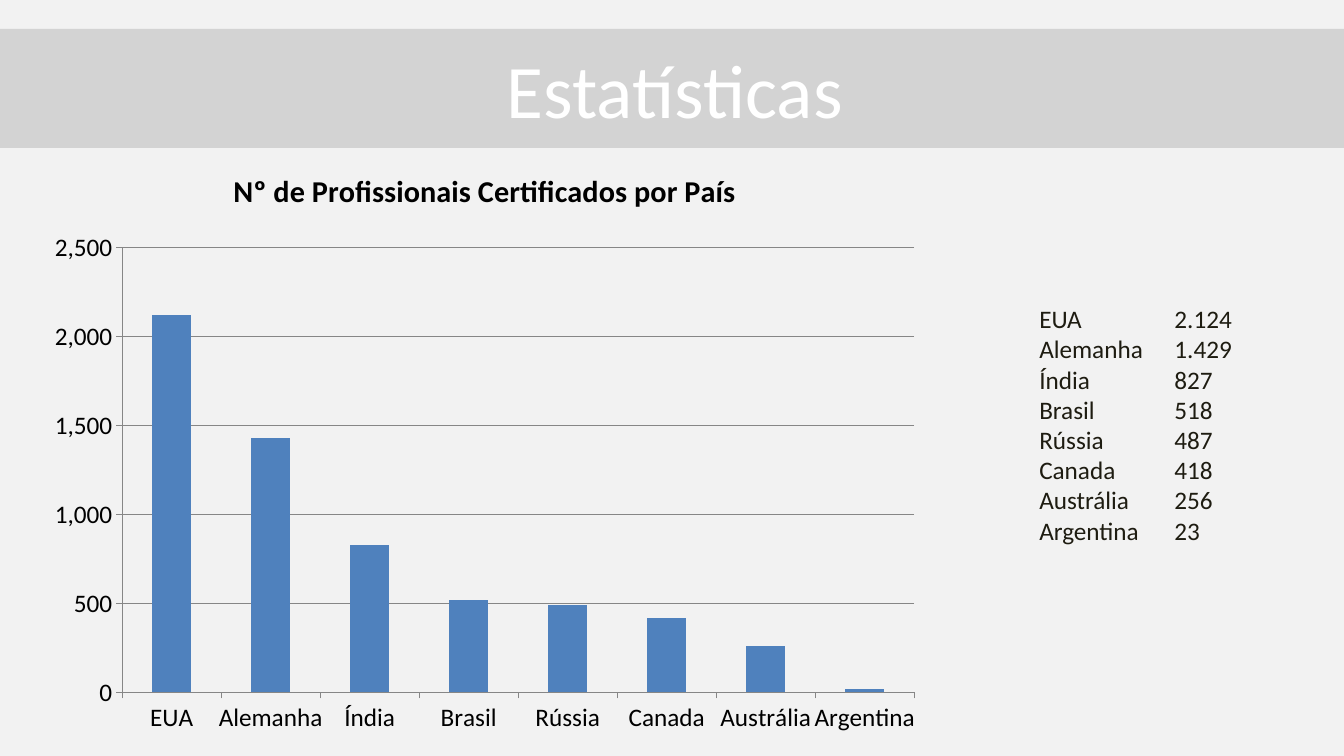
from dataclasses import dataclass

from lxml.etree import SubElement
from pptx import Presentation
from pptx.chart.data import CategoryChartData
from pptx.dml.color import RGBColor
from pptx.enum.chart import XL_CHART_TYPE, XL_TICK_MARK
from pptx.enum.shapes import MSO_SHAPE
from pptx.enum.text import MSO_ANCHOR, MSO_AUTO_SIZE, PP_ALIGN
from pptx.oxml.ns import qn
from pptx.util import Inches, Pt

CERTIFIED = {
    "EUA": 2124, "Alemanha": 1429, "Índia": 827, "Brasil": 518,
    "Rússia": 487, "Canada": 418, "Austrália": 256, "Argentina": 23,
}


@dataclass(frozen=True)
class Theme:
    """Colours, font and type sizes in points."""
    font: str = "Calibri"
    background: str = "F2F2F2"
    band: str = "BFBFBF"
    band_alpha: int = 60
    heading: str = "FFFFFF"
    body: str = "1E1C11"
    chart_text: str = "000000"
    bar: str = "4F81BD"
    axis: str = "868686"
    heading_size: float = 54
    chart_title_size: float = 21.6
    body_size: float = 18


class SlideBuilder:
    """Adds styled elements placed in percent of the slide's size."""

    def __init__(self, prs, theme):
        self.prs, self.theme = prs, theme
        self.s = prs.slides.add_slide(prs.slide_layouts[6])
        fill = self.s.background.fill
        fill.solid()
        fill.fore_color.rgb = RGBColor.from_string(theme.background)

    def place(self, x, y, w, h):
        """Turn percentages into slide lengths."""
        width, height = self.prs.slide_width, self.prs.slide_height
        return [round(share * side / 100) for share, side in
                ((x, width), (y, height), (w, width), (h, height))]

    def style(self, font, size, color, bold=False):
        """Set the theme font with a size and colour."""
        font.name, font.size, font.bold = self.theme.font, Pt(size), bold
        font.color.rgb = RGBColor.from_string(color)

    def run(self, p, text, size, color):
        """Add one styled run."""
        r = p.add_run()
        r.text = text
        self.style(r.font, size, color)

    def band(self, text, *box):
        """Add the translucent heading band."""
        t = self.theme
        sp = self.s.shapes.add_shape(MSO_SHAPE.RECTANGLE, *self.place(*box))
        sp.shadow.inherit = False
        sp.line.fill.background()
        sp.fill.solid()
        sp.fill.fore_color.rgb = RGBColor.from_string(t.band)
        color = sp.fill._xPr.find(qn("a:solidFill"))[0]
        SubElement(color, qn("a:alpha"), val=str(t.band_alpha * 1000))
        tf = sp.text_frame
        tf.vertical_anchor = MSO_ANCHOR.MIDDLE
        p = tf.paragraphs[0]
        p.alignment = PP_ALIGN.CENTER
        self.run(p, text, t.heading_size, t.heading)

    def column_chart(self, title, values, *box):
        """Add a single-series column chart of values rounded to tens."""
        t = self.theme
        data = CategoryChartData(number_format="#,##0")
        data.categories = list(values)
        data.add_series("Series 1", [round(v, -1) for v in values.values()])
        chart = self.s.shapes.add_chart(
            XL_CHART_TYPE.COLUMN_CLUSTERED, *self.place(*box), data).chart
        self.style(chart.font, t.body_size, t.chart_text)
        chart.has_legend = False
        r = chart.chart_title.text_frame.paragraphs[0].add_run()
        r.text = title
        self.style(r.font, t.chart_title_size, t.chart_text, bold=True)
        plot = chart.plots[0]
        plot.gap_width, plot.vary_by_categories = 150, False
        fill = plot.series[0].format.fill
        fill.solid()
        fill.fore_color.rgb = RGBColor.from_string(t.bar)
        chart.value_axis.has_major_gridlines = True
        for axis in (chart.category_axis, chart.value_axis):
            axis.major_tick_mark = XL_TICK_MARK.OUTSIDE
        for part in (chart.category_axis, chart.value_axis,
                     chart.value_axis.major_gridlines):
            part.format.line.width = Pt(0.75)
            part.format.line.color.rgb = RGBColor.from_string(t.axis)

    def figures(self, values, tab, *box):
        """List names and values, aligned by a tab stop in inches."""
        t = self.theme
        tf = self.s.shapes.add_textbox(*self.place(*box)).text_frame
        tf.word_wrap = True
        tf.auto_size = MSO_AUTO_SIZE.SHAPE_TO_FIT_TEXT
        for i, (name, value) in enumerate(values.items()):
            p = tf.add_paragraph() if i else tf.paragraphs[0]
            tabs = SubElement(p._p.get_or_add_pPr(), qn("a:tabLst"))
            SubElement(tabs, qn("a:tab"), pos=str(Inches(tab)), algn="l")
            number = f"{value:,}".replace(",", ".")
            self.run(p, f"{name}\t{number}", t.body_size, t.body)


def main():
    """Build the statistics slide."""
    prs = Presentation()
    prs.slide_width, prs.slide_height = Inches(13.33), Inches(7.5)
    slide = SlideBuilder(prs, Theme())
    slide.band("Estatísticas", 0, 3.83, 100.4, 15.73)
    slide.column_chart("Nº de Profissionais Certificados por País",
                       CERTIFIED, 2.74, 19.45, 66.67, 79.07)
    slide.figures(CERTIFIED, 1.34, 76.59, 39.47, 20.71, 33.6)
    prs.save("out.pptx")


if __name__ == "__main__":
    main()
